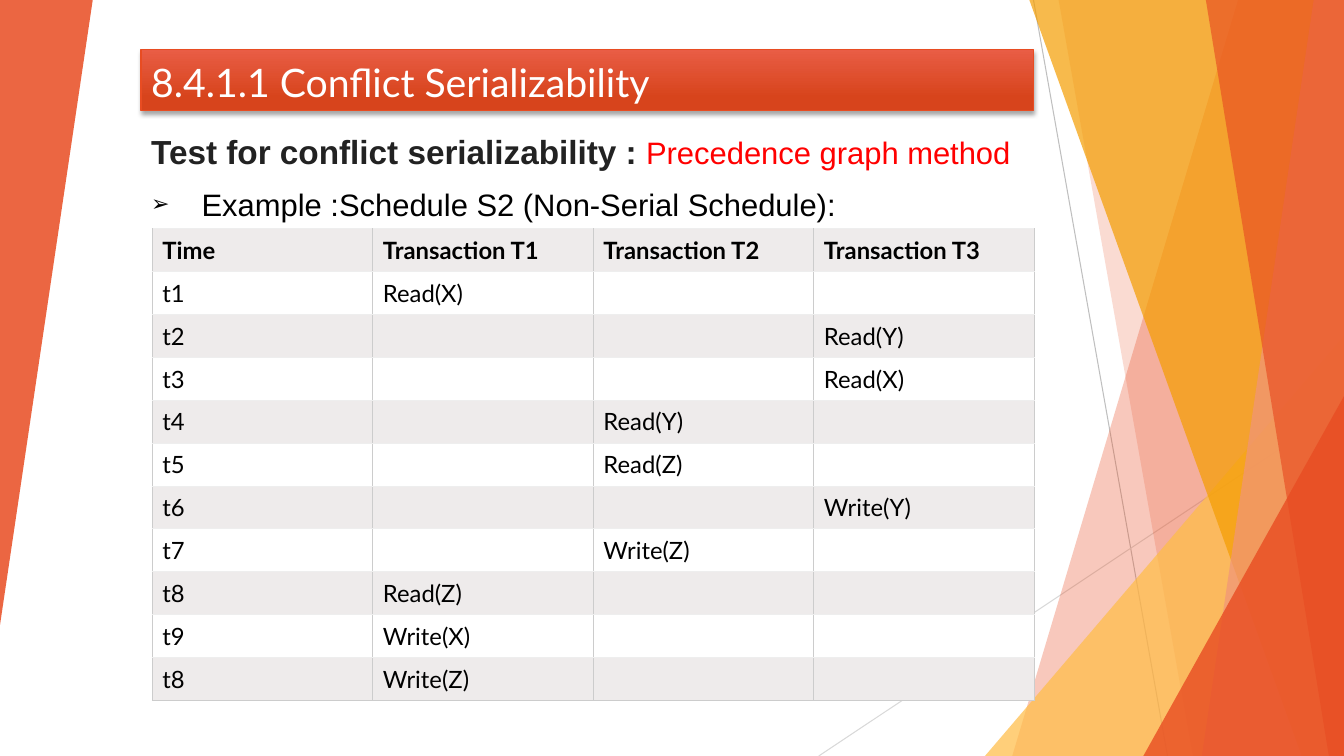
from lxml import etree
from pptx import Presentation
from pptx.dml.color import RGBColor
from pptx.enum.shapes import MSO_CONNECTOR, MSO_SHAPE
from pptx.enum.text import MSO_ANCHOR, MSO_AUTO_SIZE, PP_ALIGN
from pptx.oxml import parse_xml
from pptx.oxml.ns import qn
from pptx.util import Inches, Pt

STRAIGHT = MSO_CONNECTOR.STRAIGHT
TRIANGLE = MSO_SHAPE.ISOSCELES_TRIANGLE
MIDDLE, BOTTOM = MSO_ANCHOR.MIDDLE, MSO_ANCHOR.BOTTOM
LEFT, JUSTIFY = PP_ALIGN.LEFT, PP_ALIGN.JUSTIFY
NO_AUTOFIT = MSO_AUTO_SIZE.NONE

WIDTH, HEIGHT = Inches(13.33), Inches(7.5)
ORANGE = RGBColor(0xE8, 0x4C, 0x22)
AMBER = RGBColor(0xF4, 0x9D, 0x00)
YELLOW = RGBColor(0xFF, 0xBD, 0x47)
SALMON = RGBColor(0xF1, 0x94, 0x7A)
BANNER_TOP = RGBColor(0xE9, 0x5D, 0x45)
BANNER_BOTTOM = RGBColor(0xD7, 0x44, 0x1C)
WHITE = RGBColor(0xFF, 0xFF, 0xFF)
BLACK = RGBColor(0, 0, 0)
INK = RGBColor(0x22, 0x22, 0x22)
RED = RGBColor(0xFF, 0, 0)
BAND = RGBColor(0xEE, 0xEB, 0xEB)
ROW_RULE = RGBColor(0xEE, 0xEE, 0xEE)
GRID_RULE = RGBColor(0xCC, 0xCC, 0xCC)
RAY = RGBColor(0xBF, 0xBF, 0xBF)
PALE_RAY = RGBColor(0xD9, 0xD9, 0xD9)
A_NS = 'xmlns:a="http://schemas.openxmlformats.org/drawingml/2006/main"'

HEADINGS = ["Time", "Transaction T1", "Transaction T2", "Transaction T3"]
SCHEDULE = [
    ("t1", 1, "Read(X)"),
    ("t2", 3, "Read(Y)"),
    ("t3", 3, "Read(X)"),
    ("t4", 2, "Read(Y)"),
    ("t5", 2, "Read(Z)"),
    ("t6", 3, "Write(Y)"),
    ("t7", 2, "Write(Z)"),
    ("t8", 1, "Read(Z)"),
    ("t9", 1, "Write(X)"),
    ("t8", 1, "Write(Z)"),
]


def across(percent):
    """Return a percentage of the slide width."""
    return round(WIDTH * percent / 100)


def down(percent):
    """Return a percentage of the slide height."""
    return round(HEIGHT * percent / 100)


def place(part, left, top, width, height):
    """Position a part by percentages of the slide."""
    part.left, part.top = across(left), down(top)
    part.width, part.height = across(width), down(height)


def style_font(font, name, size, color, bold=False):
    """Apply a typeface, size, colour and weight."""
    font.name, font.size, font.bold = name, Pt(size), bold
    font.color.rgb = color


def tint(facet, color, opacity):
    """Fill a facet with a see-through colour and no outline."""
    facet.shadow.inherit = False
    facet.fill.solid()
    facet.fill.fore_color.rgb = color
    facet.line.fill.background()
    swatch = next(facet.fill._xPr.iter(qn("a:srgbClr")))
    etree.SubElement(swatch, qn("a:alpha"), val=str(opacity * 1000))


def add_ray(slide, start, end, color):
    """Draw a thin background line."""
    ray = slide.shapes.add_connector(
        STRAIGHT, across(start[0]), down(start[1]), across(end[0]), down(end[1]))
    ray.line.color.rgb = color
    ray.line.width = Pt(0.75)
    etree.SubElement(ray._element.spPr, qn("a:effectLst"))


def add_beam(slide, top_x, bottom_x, color, opacity):
    """Draw a full-height facet that reaches the right edge."""
    outline = slide.shapes.build_freeform(across(top_x), 0)
    outline.add_line_segments(
        [(WIDTH, 0), (WIDTH, HEIGHT), (across(bottom_x), HEIGHT)])
    tint(outline.convert_to_shape(), color, opacity)


def add_wedge(slide, left, top, width, height, color, opacity, rotation=0):
    """Draw a right-angled triangular facet."""
    wedge = slide.shapes.add_shape(
        TRIANGLE, across(left), down(top), across(width), down(height))
    wedge.adjustments[0] = 1
    wedge.rotation = rotation
    tint(wedge, color, opacity)


def add_backdrop(slide):
    """Draw the faceted decoration at both sides."""
    add_ray(slide, (76.9, 0), (86.87, 100), RAY)
    add_ray(slide, (100, 53.73), (60.92, 100), PALE_RAY)
    add_beam(slide, 92.12, 75.32, ORANGE, 30)
    add_beam(slide, 78.77, 88.75, ORANGE, 20)
    add_wedge(slide, 73.29, 44.4, 26.71, 55.6, YELLOW, 72)
    add_beam(slide, 76.59, 96.85, AMBER, 70)
    add_beam(slide, 97.75, 89.42, SALMON, 70)
    add_beam(slide, 89.72, 98.87, ORANGE, 65)
    add_wedge(slide, 85.07, 52.4, 14.93, 47.6, ORANGE, 80)
    add_wedge(slide, 0, 0, 6.9, 82.67, ORANGE, 85, rotation=180)


def fill_banner(banner):
    """Turn the title into a shaded banner."""
    place(banner, 10.5, 6.53, 66.39, 8.13)
    banner.fill.gradient()
    banner.fill.gradient_angle = 270
    shades = ((0, BANNER_TOP), (0.78, BANNER_BOTTOM))
    for stop, (position, color) in zip(banner.fill.gradient_stops, shades):
        stop.position, stop.color.rgb = position, color
    banner.line.color.rgb = ORANGE
    banner.line.width = Pt(1)
    banner._element.spPr.append(parse_xml(
        f'<a:effectLst {A_NS}><a:outerShdw blurRad="38100" dist="25400" '
        'dir="5400000" rotWithShape="0"><a:srgbClr val="000000">'
        '<a:alpha val="35000"/></a:srgbClr></a:outerShdw></a:effectLst>'))
    frame = banner.text_frame
    frame.text = "8.4.1.1 Conflict Serializability"
    frame.auto_size, frame.vertical_anchor = NO_AUTOFIT, BOTTOM
    heading = frame.paragraphs[0]
    heading.alignment = LEFT
    style_font(heading.runs[0].font, "Lato", 28, WHITE)


def add_bullet(paragraph):
    """Give a paragraph a small black arrow and a hanging indent."""
    properties = paragraph._p.get_or_add_pPr()
    properties.set("marL", str(Inches(0.5)))
    properties.set("indent", str(-Inches(0.5)))
    color = etree.SubElement(properties, qn("a:buClr"))
    etree.SubElement(color, qn("a:srgbClr"), val=str(BLACK))
    etree.SubElement(properties, qn("a:buSzPct"), val="71000")
    etree.SubElement(properties, qn("a:buFont"), typeface="Arial")
    etree.SubElement(properties, qn("a:buChar"), char="➢")


def fill_intro(intro):
    """Write the method line and the example bullet."""
    place(intro, 10.5, 16.67, 66.39, 11.73)
    frame = intro.text_frame
    frame.auto_size = NO_AUTOFIT
    method = frame.paragraphs[0]
    method.alignment, method.space_before = JUSTIFY, Pt(0)
    topic, answer = method.add_run(), method.add_run()
    topic.text = "Test for conflict serializability : "
    answer.text = "Precedence graph method"
    style_font(topic.font, "Arial", 23.8, INK, bold=True)
    style_font(answer.font, "Arial", 22.1, RED)
    example = frame.add_paragraph()
    example.text = "Example :Schedule S2 (Non-Serial Schedule):"
    add_bullet(example)
    example.alignment, example.space_before = JUSTIFY, Pt(10)
    style_font(example.runs[0].font, "Arial", 22.1, BLACK)


def add_borders(cell, bottom_color):
    """Draw the four thin borders of a cell."""
    sides = {"L": GRID_RULE, "R": GRID_RULE, "T": ROW_RULE, "B": bottom_color}
    for side, color in sides.items():
        cell._tc.get_or_add_tcPr().append(parse_xml(
            f'<a:ln{side} {A_NS} w="9525"><a:solidFill>'
            f'<a:srgbClr val="{color}"/></a:solidFill></a:ln{side}>'))


def add_schedule(slide):
    """Add the banded table of transaction steps."""
    steps = [[time] + [action if column == transaction else "" for column in (1, 2, 3)]
             for time, transaction, action in SCHEDULE]
    lines = [HEADINGS] + steps
    table = slide.shapes.add_table(
        len(lines), len(HEADINGS),
        across(11.33), down(30.27), across(65.64), down(62.4)).table
    for row, line in enumerate(lines):
        for column, words in enumerate(line):
            cell = table.cell(row, column)
            cell.text = words
            cell.vertical_anchor = MIDDLE
            add_borders(cell, GRID_RULE if row == len(steps) else ROW_RULE)
            cell.fill.solid()
            cell.fill.fore_color.rgb = WHITE if row % 2 else BAND
            for run in cell.text_frame.paragraphs[0].runs:
                style_font(run.font, "Lato", 17, BLACK, bold=row == 0)


def main():
    """Build the slide and save it."""
    deck = Presentation()
    deck.slide_width, deck.slide_height = WIDTH, HEIGHT
    slide = deck.slides.add_slide(deck.slide_layouts[0])
    add_backdrop(slide)
    fill_banner(slide.shapes.title)
    fill_intro(slide.placeholders[1])
    add_schedule(slide)
    deck.save("out.pptx")


if __name__ == "__main__":
    main()
